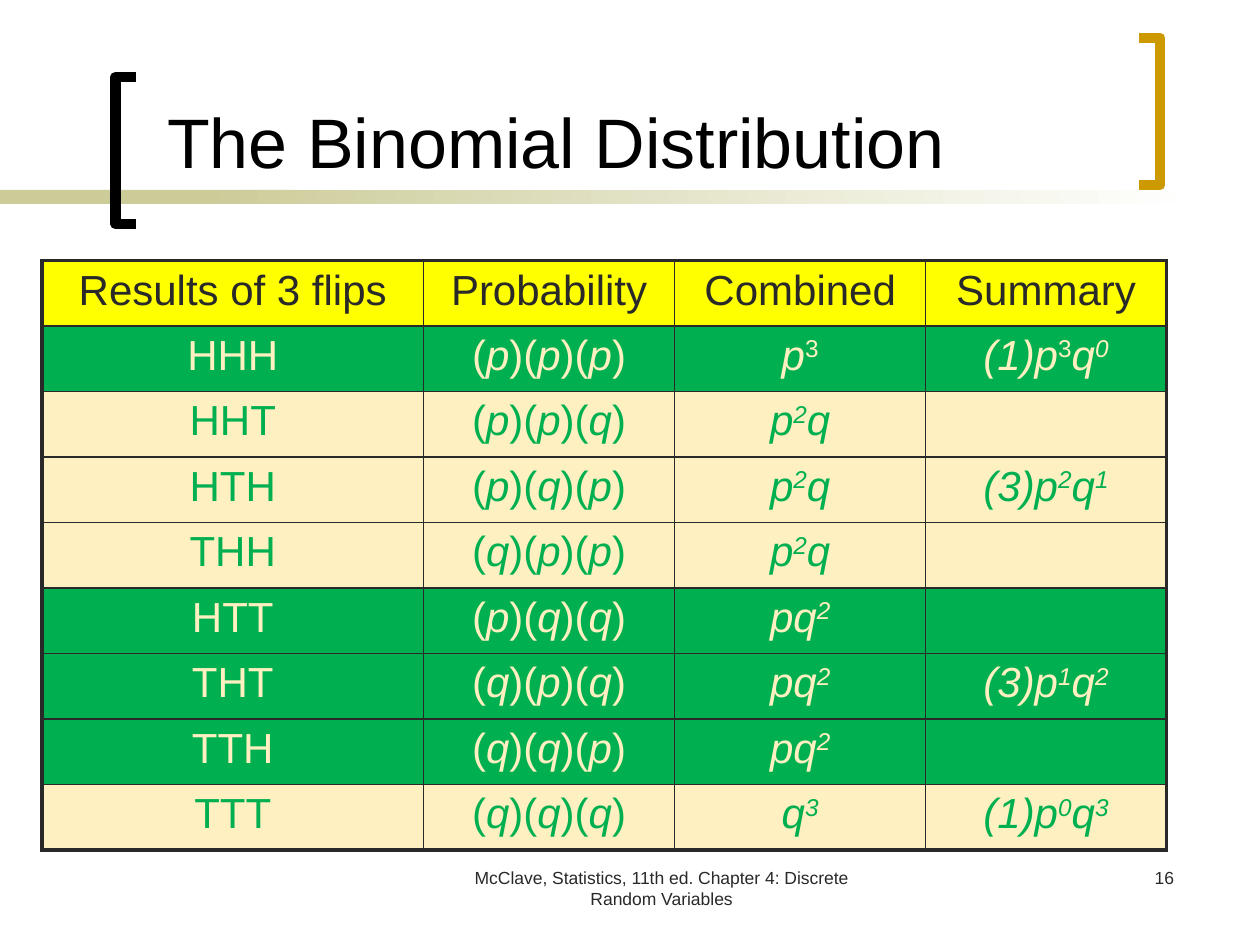
from itertools import groupby

from lxml import etree
from pptx import Presentation
from pptx.dml.color import RGBColor
from pptx.enum import shapes, text
from pptx.oxml.ns import qn
from pptx.util import Pt

COLORS = {
    "ink": "292929", "black": "000000", "white": "FFFFFF", "gold": "CC9900",
    "sage": "CCCC99", "yellow": "FFFF00", "green": "00B050", "cream": "FFF0C2",
}
HEADERS = ["Results of 3 flips", "Probability", "Combined", "Summary"]
# In formulas ^ raises the next character in italics, ' raises it upright.
OUTCOMES = [
    ("HHH", "p'3", "(1)p'3q^0", "green"),
    ("HHT", "p^2q", "", "cream"),
    ("HTH", "p^2q", "(3)p^2q^1", "cream"),
    ("THH", "p^2q", "", "cream"),
    ("HTT", "pq^2", "", "green"),
    ("THT", "pq^2", "(3)p^1q^2", "green"),
    ("TTH", "pq^2", "", "green"),
    ("TTT", "q^3", "(1)p^0q^3", "cream"),
]
COLUMN_WIDTHS = [218, 143.5, 143.5, 137.5]
ROW_HEIGHT = 37.44


def color(name):
    return RGBColor.from_string(COLORS[name])


def formula_spans(formula):
    """Split a marked formula into (text, italic, raised) spans."""
    styled, mark = [], ""
    for char in formula:
        if char in "^'":
            mark = char
        else:
            styled.append((char, mark != "'", bool(mark)))
            mark = ""
    return [("".join(item[0] for item in group), *style)
            for style, group in groupby(styled, key=lambda item: item[1:])]


def probability_spans(flips):
    """Give (p)(q)(p) for HTH, with only the letters in italics."""
    product = "".join("(p)" if flip == "H" else "(q)" for flip in flips)
    return [("".join(group), italic, False)
            for italic, group in groupby(product, key=str.isalpha)]


def plain_spans(words):
    return [(words, False, False)]


class SlideBuilder:
    font = "Arial"

    def __init__(self, page):
        self.page = page

    def style(self, span, size, tone):
        span.font.name = self.font
        span.font.size = Pt(size)
        span.font.color.rgb = color(tone)

    def title(self, words, left, top, width, height):
        box = self.page.shapes.title
        box.left, box.top, box.width, box.height = map(Pt, (left, top, width, height))
        frame = box.text_frame
        frame.text = words
        frame.auto_size = text.MSO_AUTO_SIZE.NONE
        frame.vertical_anchor = text.MSO_ANCHOR.BOTTOM
        para = frame.paragraphs[0]
        para.alignment = text.PP_ALIGN.LEFT
        self.style(para.runs[0], 40, "black")

    def label(self, words, left, top, width, height, align):
        box = self.page.shapes.add_textbox(*map(Pt, (left, top, width, height)))
        frame = box.text_frame
        frame.word_wrap = True
        frame.text = words
        para = frame.paragraphs[0]
        para.alignment = align
        self.style(para.runs[0], 10, "ink")

    def band(self, left, top, width, height, start, end):
        bar = self.page.shapes.add_shape(
            shapes.MSO_SHAPE.RECTANGLE, *map(Pt, (left, top, width, height)))
        bar.shadow.inherit = False
        bar.line.fill.background()
        if start == end:
            bar.fill.solid()
            bar.fill.fore_color.rgb = color(start)
            return
        bar.fill.gradient()
        bar.fill.gradient_angle = 0
        for stop, tone in zip(bar.fill.gradient_stops, (start, end)):
            stop.color.rgb = color(tone)

    def bracket(self, tips, spine, top, height, tone):
        """Draw a square bracket from the x of its tips and of its spine."""
        bottom = top + height
        builder = self.page.shapes.build_freeform(Pt(tips), Pt(top))
        builder.add_line_segments(
            [(Pt(x), Pt(y)) for x, y in ((spine, top), (spine, bottom), (tips, bottom))],
            close=False)
        outline = builder.convert_to_shape()
        outline.shadow.inherit = False
        outline.fill.background()
        outline.line.color.rgb = color(tone)
        outline.line.width = Pt(6)

    def borders(self, cell, widths):
        """Set left, right, top and bottom border widths, in that order."""
        properties = cell._tc.get_or_add_tcPr()
        for side, width in zip("LRTB", widths):
            line = etree.SubElement(properties, qn(f"a:ln{side}"), w=str(Pt(width)))
            fill = etree.SubElement(line, qn("a:solidFill"))
            etree.SubElement(fill, qn("a:srgbClr"), val=COLORS["ink"])

    def fill_cell(self, cell, spans, tone, background):
        cell.fill.solid()
        cell.fill.fore_color.rgb = color(background)
        para = cell.text_frame.paragraphs[0]
        para.alignment = text.PP_ALIGN.CENTER
        spacing = etree.SubElement(para._p.get_or_add_pPr(), qn("a:spcBef"))
        etree.SubElement(spacing, qn("a:spcPct"), val="20000")
        for words, italic, raised in spans:
            span = para.add_run()
            span.text = words
            self.style(span, 24, tone)
            span.font.italic = italic
            if raised:
                span._r.get_or_add_rPr().set("baseline", "30000")

    def table(self, rows, left, top):
        """Draw rows of (cell spans, text colour, fill colour)."""
        last_row, last_column = len(rows) - 1, len(COLUMN_WIDTHS) - 1
        table = self.page.shapes.add_table(
            len(rows), len(COLUMN_WIDTHS), Pt(left), Pt(top),
            Pt(sum(COLUMN_WIDTHS)), Pt(ROW_HEIGHT * len(rows))).table
        table.first_row = table.horz_banding = False
        for column, width in zip(table.columns, COLUMN_WIDTHS):
            column.width = Pt(width)
        for r, (cells, tone, background) in enumerate(rows):
            table.rows[r].height = Pt(ROW_HEIGHT)
            for c, spans in enumerate(cells):
                cell = table.cell(r, c)
                outer = (c == 0, c == last_column, r == 0, r == last_row)
                self.borders(cell, [2.25 if edge else 1 for edge in outer])
                self.fill_cell(cell, spans, tone, background)


def main():
    deck = Presentation()
    deck.slide_width, deck.slide_height = Pt(720), Pt(540)
    slide = SlideBuilder(deck.slides.add_slide(deck.slide_layouts[5]))

    slide.band(0, 108.6, 168, 8, "sage", "sage")
    slide.band(114, 108.6, 570, 8, "sage", "white")
    slide.bracket(78, 66, 44, 84, "black")
    slide.bracket(651, 663, 21.6, 84, "gold")
    slide.title(" The Binomial Distribution", 78, 18, 564, 90)

    rows = [([plain_spans(header) for header in HEADERS], "ink", "yellow")]
    for flips, combined, summary, background in OUTCOMES:
        tone = "cream" if background == "green" else "green"
        cells = [plain_spans(flips), probability_spans(flips),
                 formula_spans(combined), formula_spans(summary)]
        rows.append((cells, tone, background))
    slide.table(rows, 24, 149)

    slide.label("16", 528, 492, 150, 36, text.PP_ALIGN.RIGHT)
    slide.label("McClave, Statistics, 11th ed. Chapter 4: Discrete Random Variables",
                264, 492, 228, 36, text.PP_ALIGN.CENTER)
    deck.save("out.pptx")


if __name__ == "__main__":
    main()
